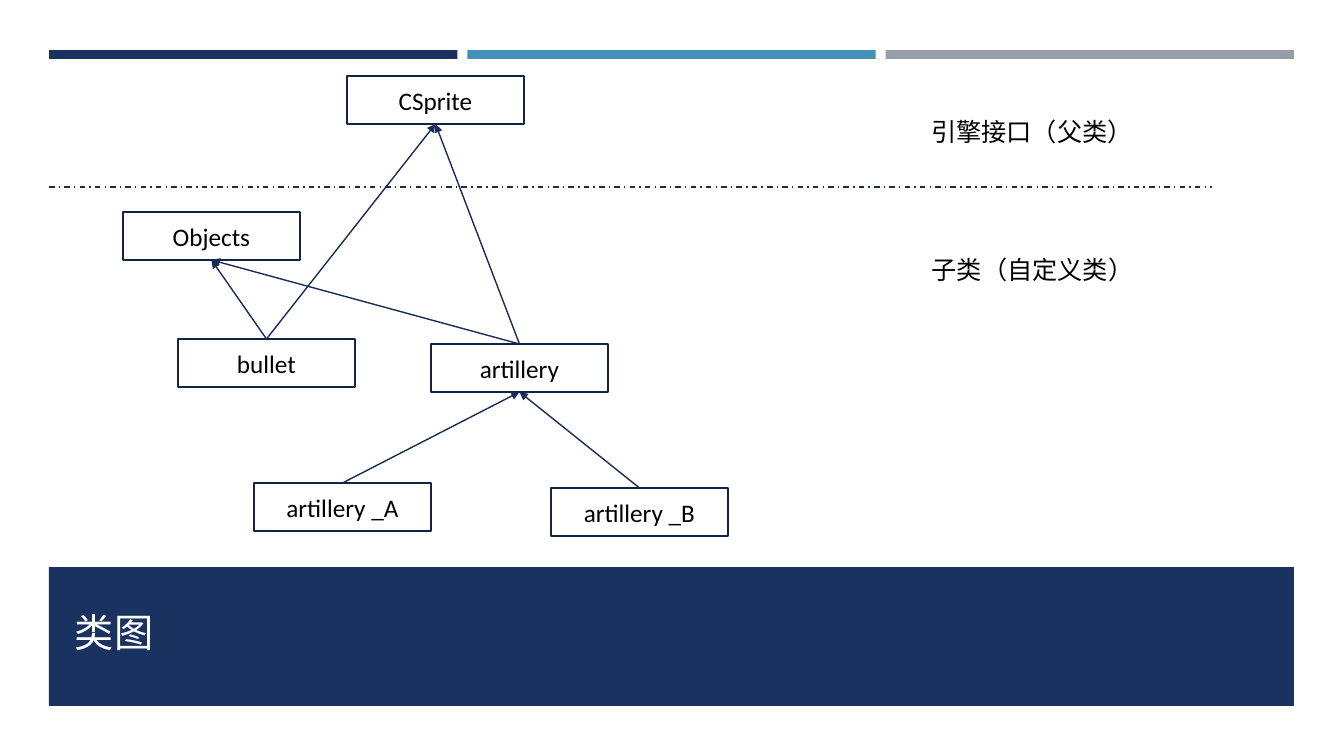
from pptx import Presentation
from pptx import util as u
from pptx.dml.color import RGBColor
from pptx.enum import dml, shapes, text
from pptx.oxml import ns
from lxml import etree

TITLE = "类图"
CLASSES = {
    "Objects": (123, 212),
    "CSprite": (347, 76),
    "artillery _B": (551, 488),
    "artillery _A": (254, 483),
    "artillery": (431, 344),
    "bullet": (178, 339),
}
INHERITANCE = [
    ("bullet", "CSprite"),
    ("artillery", "CSprite"),
    ("artillery _A", "artillery"),
    ("artillery _B", "artillery"),
    ("bullet", "Objects"),
    ("artillery", "Objects"),
]
LAYERS = [
    ("子类（自定义类）", (886, 227, 293, 84)),
    ("引擎接口（父类）", (899, 98, 266, 66)),
]
THEME = {
    "bars": ["1A3260", "4590B8", "969FA7"],
    "band": "1A3260",
    "title": "FFFEFF",
    "ink": "000000",
    "border": "132547",
    "link": "172D56",
    "font": "Calibri",
    "cjk": "Noto Sans CJK SC",
    "title_size": 28,
    "size": 18,
    "border_width": 1.75,
    "link_width": 1,
}
SLIDE_W, SLIDE_H = 1344, 756
LEFT, WIDTH = 49, 1245
BAR_TOP, BAR_H, BAR_GAP = 50, 9, 10
BOX_W, BOX_H = 177, 48
DIVIDER_Y, DIVIDER_RIGHT = 187, 1212
BAND = (LEFT, 567, WIDTH, 139)
TITLE_BOX = (65, 581, 1216, 79)
TOP_SITE, BOTTOM_SITE = 0, 2
EMU_PER_PX = u.Inches(1) / 100.8


def px(*lengths):
    return [round(n * EMU_PER_PX) for n in lengths]


def rgb(name):
    return RGBColor.from_string(name)


def write(s, content, size=THEME["size"], color=THEME["ink"], font=THEME["font"],
          align=text.PP_ALIGN.CENTER, anchor=text.MSO_ANCHOR.MIDDLE):
    tf = s.text_frame
    tf.word_wrap = True
    tf.vertical_anchor = anchor
    p = tf.paragraphs[0]
    p.alignment = align
    r = p.add_run()
    r.text = content
    r.font.size = u.Pt(size)
    r.font.name = font
    r.font.color.rgb = rgb(color)
    etree.SubElement(r.font._element, ns.qn("a:ea"), typeface=THEME["cjk"])


def add_rect(sp, box, fill=None, line=None):
    s = sp.add_shape(shapes.MSO_SHAPE.RECTANGLE, *px(*box))
    s.shadow.inherit = False
    if fill:
        s.fill.solid()
        s.fill.fore_color.rgb = rgb(fill)
    else:
        s.fill.background()
    if line:
        s.line.color.rgb = rgb(line)
        s.line.width = u.Pt(THEME["border_width"])
    else:
        s.line.fill.background()
    return s


def add_line(sp, ends=(0, 0, 0, 0)):
    s = sp.add_connector(shapes.MSO_CONNECTOR.STRAIGHT, *px(*ends))
    s.line.color.rgb = rgb(THEME["link"])
    s.line.width = u.Pt(THEME["link_width"])
    etree.SubElement(s._element.spPr, ns.qn("a:effectLst"))
    return s


def add_arrow(sp, child, parent):
    s = add_line(sp)
    s.begin_connect(child, TOP_SITE)
    s.end_connect(parent, BOTTOM_SITE)
    etree.SubElement(s.line._get_or_add_ln(), ns.qn("a:tailEnd"), type="triangle")


def main():
    prs = Presentation()
    prs.slide_width, prs.slide_height = px(SLIDE_W, SLIDE_H)
    sp = prs.slides.add_slide(prs.slide_layouts[6]).shapes

    bar_w = (WIDTH - 2 * BAR_GAP) / 3
    for i, color in enumerate(THEME["bars"]):
        add_rect(sp, (LEFT + i * (bar_w + BAR_GAP), BAR_TOP, bar_w, BAR_H), fill=color)

    add_rect(sp, BAND, fill=THEME["band"])
    write(sp.add_textbox(*px(*TITLE_BOX)), TITLE, size=THEME["title_size"],
          color=THEME["title"], font=THEME["cjk"], align=text.PP_ALIGN.LEFT,
          anchor=text.MSO_ANCHOR.BOTTOM)

    boxes = {}
    for name, corner in CLASSES.items():
        boxes[name] = add_rect(sp, (*corner, BOX_W, BOX_H), line=THEME["border"])
        write(boxes[name], name)

    for child, parent in INHERITANCE:
        add_arrow(sp, boxes[child], boxes[parent])

    divider = add_line(sp, (LEFT, DIVIDER_Y, DIVIDER_RIGHT, DIVIDER_Y))
    divider.line.dash_style = dml.MSO_LINE.DASH_DOT

    for label, box in LAYERS:
        write(sp.add_textbox(*px(*box)), label)

    prs.save("out.pptx")


if __name__ == "__main__":
    main()
